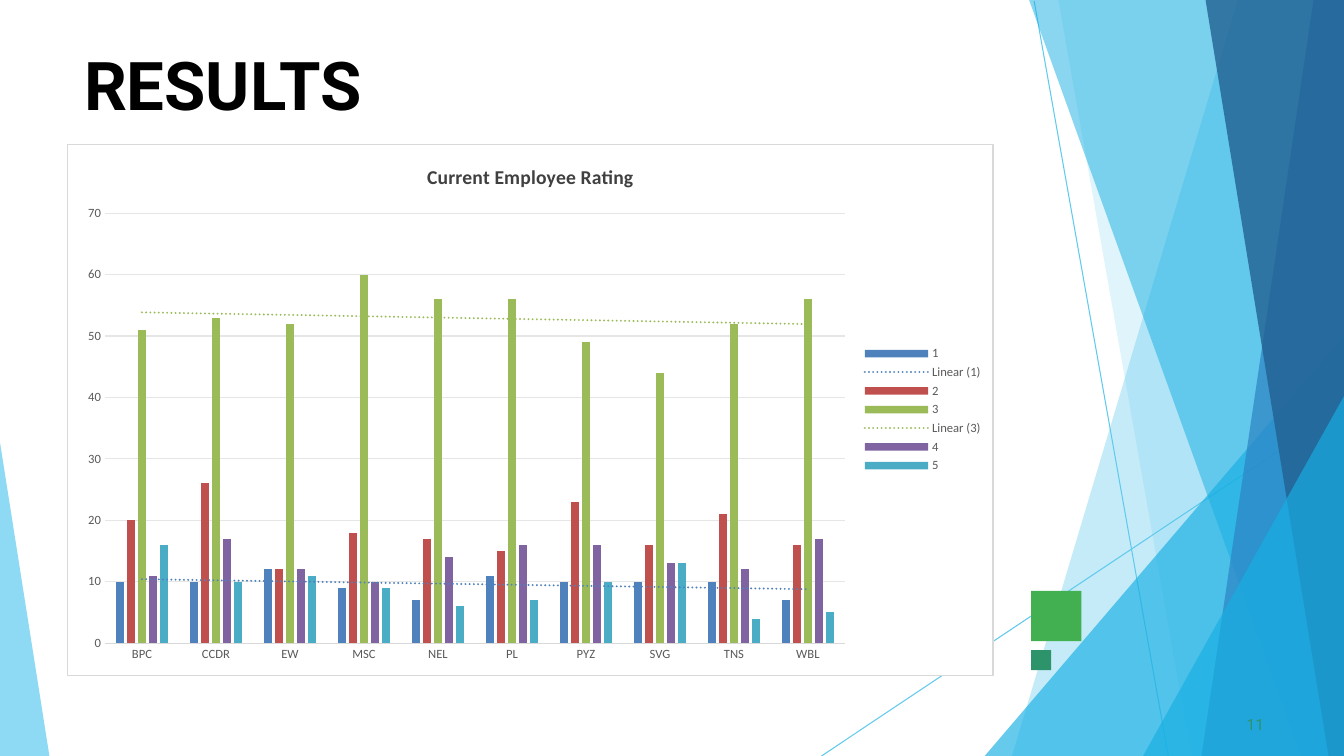
from dataclasses import dataclass

from lxml.etree import SubElement
from pptx import Presentation
from pptx.chart.data import CategoryChartData
from pptx.dml.color import RGBColor
from pptx.enum.chart import XL_CHART_TYPE as ChartType
from pptx.enum.chart import XL_LEGEND_POSITION as LegendPosition
from pptx.enum.chart import XL_TICK_MARK as TickMark
from pptx.enum.shapes import MSO_CONNECTOR as Connector
from pptx.enum.shapes import MSO_SHAPE as Shape
from pptx.enum.text import MSO_ANCHOR as Anchor
from pptx.enum.text import PP_ALIGN as Align
from pptx.oxml import parse_xml
from pptx.oxml.ns import nsdecls, qn
from pptx.util import Pt


@dataclass(frozen=True)
class Theme:
    heading_font: str = "Roboto"
    chart_font: str = "Calibri"
    title_size: float = 48
    number_size: float = 11
    chart_title_size: float = 14
    label_size: float = 9
    black: str = "000000"
    white: str = "FFFFFF"
    sky: str = "5FCAEE"
    cyan: str = "17AFE3"
    blue: str = "2D83C3"
    navy: str = "226192"
    green: str = "42AF51"
    teal: str = "2D936B"
    heading: str = "404040"
    label: str = "595959"
    border: str = "D9D9D9"
    grid: str = "E6E6E6"
    series: tuple = ("4F81BD", "C0504D", "9BBB59", "8064A2", "4BACC6")


THEME = Theme()
WIDTH, HEIGHT = 960, 540

# Edge x, top (x, y), foot x, colour, opacity in percent
FACETS = [
    (WIDTH, (884.2, 0), 722.9, THEME.sky, 36),
    (WIDTH, (756, 0), 851, THEME.sky, 20),
    (WIDTH, (WIDTH, 239.8), 703.4, THEME.cyan, 66),
    (WIDTH, (735.1, 0), 929.5, THEME.cyan, 50),
    (WIDTH, (938.2, 0), 858.2, THEME.blue, 70),
    (WIDTH, (861.1, 0), 949, THEME.navy, 80),
    (WIDTH, (WIDTH, 283), 816.5, THEME.cyan, 66),
    (0, (0, 316.1), 35.3, THEME.sky, 70),
]
UNITS = ["BPC", "CCDR", "EW", "MSC", "NEL", "PL", "PYZ", "SVG", "TNS", "WBL"]
RATINGS = {
    "1": [10, 10, 12, 9, 7, 11, 10, 10, 10, 7],
    "2": [20, 26, 12, 18, 17, 15, 23, 16, 21, 16],
    "3": [51, 53, 52, 60, 56, 56, 49, 44, 52, 56],
    "4": [11, 17, 12, 10, 14, 16, 16, 13, 12, 17],
    "5": [16, 10, 11, 9, 6, 7, 10, 13, 4, 5],
}
TRENDED = ("1", "3")


def color(code):
    return RGBColor.from_string(code)


def set_font(font, size, code, name=THEME.chart_font, bold=False):
    font.size, font.name, font.bold = Pt(size), name, bold
    font.color.rgb = color(code)


def set_line(line, code, width=0.75):
    line.color.rgb = color(code)
    line.width = Pt(width)


def write(frame, text, align=Align.LEFT, **font):
    """Fill a text frame with one formatted paragraph."""
    frame.word_wrap = True
    frame.vertical_anchor = Anchor.TOP
    frame.margin_left = frame.margin_right = frame.margin_bottom = 0
    frame.margin_top = Pt(1)
    para = frame.paragraphs[0]
    para.alignment = align
    span = para.add_run()
    span.text = text
    set_font(span.font, **font)


def paint(shape, code, opacity=100):
    shape.shadow.inherit = False
    shape.line.fill.background()
    shape.fill.solid()
    shape.fill.fore_color.rgb = color(code)
    if opacity < 100:
        tint = shape.fill._xPr.find(".//" + qn("a:srgbClr"))
        SubElement(tint, qn("a:alpha"), val=str(opacity * 1000))


def add_facet(page, edge, top, foot, code, opacity):
    """Draw a slanted panel between a page edge and the line top to foot."""
    corners = [top, (foot, HEIGHT), (edge, HEIGHT)]
    builder = page.shapes.build_freeform(Pt(edge), Pt(top[1]), scale=1.0)
    builder.add_line_segments([(Pt(x), Pt(y)) for x, y in corners], close=True)
    paint(builder.convert_to_shape(), code, opacity)


def add_hairline(page, *ends):
    line = page.shapes.add_connector(Connector.STRAIGHT, *map(Pt, ends))
    set_line(line.line, THEME.sky)
    SubElement(line._element.spPr, qn("a:effectLst"))


def add_square(page, left, top, side, code):
    box = page.shapes.add_shape(Shape.RECTANGLE, *map(Pt, (left, top, side, side)))
    paint(box, code)


def add_trend(series_xml, code):
    trend = parse_xml(
        f'<c:trendline {nsdecls("c", "a")}><c:spPr><a:ln w="{Pt(1.5)}" cap="rnd">'
        f'<a:solidFill><a:srgbClr val="{code}"/></a:solidFill>'
        '<a:prstDash val="sysDot"/></a:ln></c:spPr><c:trendlineType val="linear"/>'
        '<c:dispRSqr val="0"/><c:dispEq val="0"/></c:trendline>')
    series_xml.find(qn("c:cat")).addprevious(trend)


def frame_chart(chart):
    """Give the chart area a fill and border, and fix the plot's place."""
    area = parse_xml(
        f'<c:spPr {nsdecls("c", "a")}><a:solidFill><a:srgbClr val="{THEME.white}"/>'
        f'</a:solidFill><a:ln w="{Pt(0.75)}"><a:solidFill>'
        f'<a:srgbClr val="{THEME.border}"/></a:solidFill></a:ln></c:spPr>')
    chart.element.find(qn("c:chart")).addnext(area)
    plot_area = chart.element.find(".//" + qn("c:plotArea"))
    for old in plot_area.findall(qn("c:layout")):
        plot_area.remove(old)
    layout = parse_xml(f'<c:layout {nsdecls("c")}><c:manualLayout/></c:layout>')
    settings = dict(layoutTarget="inner", xMode="edge", yMode="edge",
                    x="0.04", y="0.13", w="0.8", h="0.81")
    for name, value in settings.items():
        SubElement(layout[0], qn("c:" + name), val=value)
    plot_area.insert(0, layout)


def style_axes(chart):
    for axis in (chart.category_axis, chart.value_axis):
        axis.major_tick_mark = axis.minor_tick_mark = TickMark.NONE
        set_font(axis.tick_labels.font, THEME.label_size, THEME.label)
    set_line(chart.category_axis.format.line, THEME.border)
    values = chart.value_axis
    values.minimum_scale, values.maximum_scale, values.major_unit = 0, 70, 10
    values.format.line.fill.background()
    set_line(values.major_gridlines.format.line, THEME.grid)


def add_rating_chart(page, left, top, width, height):
    data = CategoryChartData()
    data.categories = UNITS
    for name, values in RATINGS.items():
        data.add_series(name, values)
    chart = page.shapes.add_chart(
        ChartType.COLUMN_CLUSTERED, *map(Pt, (left, top, width, height)), data).chart
    set_font(chart.font, 10, THEME.black)
    title = chart.chart_title.text_frame
    title.text = "Current Employee Rating"
    set_font(title.paragraphs[0].runs[0].font, THEME.chart_title_size,
             THEME.heading, bold=True)
    chart.has_legend = True
    chart.legend.position = LegendPosition.RIGHT
    chart.legend.include_in_layout = False
    set_font(chart.legend.font, THEME.label_size, THEME.label)
    plot = chart.plots[0]
    plot.gap_width, plot.overlap, plot.vary_by_categories = 246, -28, False
    series_xml = chart.element.findall(".//" + qn("c:ser"))
    for series, xml, code in zip(plot.series, series_xml, THEME.series):
        series.format.fill.solid()
        series.format.fill.fore_color.rgb = color(code)
        if series.name in TRENDED:
            add_trend(xml, code)
    style_axes(chart)
    frame_chart(chart)


def main():
    deck = Presentation()
    deck.slide_width, deck.slide_height = Pt(WIDTH), Pt(HEIGHT)
    page = deck.slides.add_slide(deck.slide_layouts[5])
    add_hairline(page, 738.7, 0.7, 834.5, HEIGHT)
    add_hairline(page, WIDTH, 290.9, 586.8, HEIGHT)
    for facet in FACETS:
        add_facet(page, *facet)
    add_square(page, 736.5, 422, 36, THEME.green)
    add_square(page, 736.5, 464.4, 14.4, THEME.teal)

    title = page.shapes.title
    title.left, title.top, title.width, title.height = map(Pt, (60, 30.2, 841, 59.8))
    write(title.text_frame, "RESULTS", size=THEME.title_size, code=THEME.black,
          name=THEME.heading_font, bold=True)
    number = page.shapes.add_textbox(*map(Pt, (890.5, 509.8, 18, 15)))
    write(number.text_frame, "11", size=THEME.number_size, code=THEME.teal,
          name=THEME.heading_font)
    add_rating_chart(page, 48.2, 102.6, 661.5, 380)
    deck.save("out.pptx")


if __name__ == "__main__":
    main()
